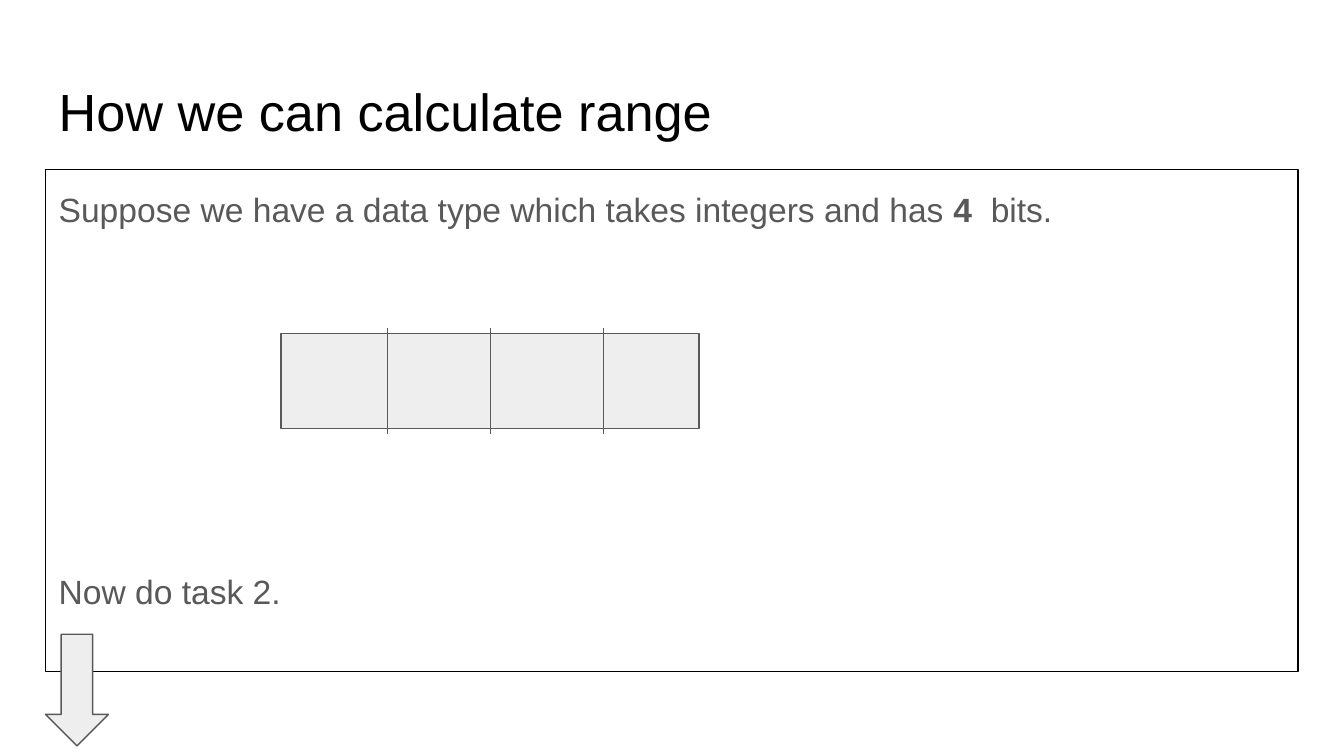
"""Build the slide on calculating the range of a four-bit integer type."""
from lxml.etree import SubElement
from pptx import Presentation
from pptx.dml.color import RGBColor
from pptx.enum.shapes import MSO_CONNECTOR, MSO_SHAPE
from pptx.enum.text import MSO_ANCHOR, MSO_AUTO_SIZE, PP_ALIGN
from pptx.oxml.ns import qn
from pptx.util import Cm, Pt

BLACK = RGBColor(0x00, 0x00, 0x00)
GREY = RGBColor(0x59, 0x59, 0x59)
LIGHT = RGBColor(0xEE, 0xEE, 0xEE)


def set_values(obj, values):
    for name, value in values.items():
        setattr(obj, name, value)


class SlideBuilder:
    font = "Arial"
    line_width = Pt(0.75)
    frame = {
        "word_wrap": True,
        "auto_size": MSO_AUTO_SIZE.NONE,
        "vertical_anchor": MSO_ANCHOR.TOP,
        "margin_left": Cm(0.25),
        "margin_right": Cm(0.25),
        "margin_top": Cm(0.25),
        "margin_bottom": Cm(0.25),
    }

    def __init__(self, prs):
        self.s = prs.slides.add_slide(prs.slide_layouts[5])

    def outline(self, sp, color):
        sp.line.color.rgb = color
        sp.line.width = self.line_width

    def paragraph(self, p, runs, size, color, **spacing):
        set_values(p, {"alignment": PP_ALIGN.LEFT, **spacing})
        for text, bold in runs:
            r = p.add_run()
            r.text = text
            set_values(r.font, {"name": self.font, "size": Pt(size), "bold": bold})
            r.font.color.rgb = color

    def title(self, text, left, top, width, height):
        sp = self.s.shapes.title
        set_values(sp, {"left": Cm(left), "top": Cm(top),
                        "width": Cm(width), "height": Cm(height)})
        set_values(sp.text_frame, self.frame)
        self.paragraph(sp.text_frame.paragraphs[0], [(text, False)], 28, BLACK,
                       line_spacing=1.0, space_before=Pt(0))

    def body(self, paragraphs, left, top, width, height):
        sp = self.s.shapes.add_textbox(Cm(left), Cm(top), Cm(width), Cm(height))
        self.outline(sp, BLACK)
        tf = sp.text_frame
        set_values(tf, self.frame)
        for i, (runs, before) in enumerate(paragraphs):
            p = tf.add_paragraph() if i else tf.paragraphs[0]
            self.paragraph(p, runs, 18, GREY, line_spacing=1.15,
                           space_before=Pt(before))

    def shape(self, kind, left, top, width, height):
        sp = self.s.shapes.add_shape(kind, Cm(left), Cm(top), Cm(width), Cm(height))
        sp.shadow.inherit = False
        sp.fill.solid()
        sp.fill.fore_color.rgb = LIGHT
        self.outline(sp, GREY)

    def divider(self, x, top, bottom):
        sp = self.s.shapes.add_connector(
            MSO_CONNECTOR.STRAIGHT, Cm(x), Cm(top), Cm(x), Cm(bottom))
        self.outline(sp, GREY)
        SubElement(sp._element.spPr, qn("a:effectLst"))


def main():
    prs = Presentation()
    set_values(prs, {"slide_width": Cm(25.4), "slide_height": Cm(14.29)})
    b = SlideBuilder(prs)
    b.title("How we can calculate range", 0.86, 1.24, 23.67, 1.6)
    b.body([
        ([("Suppose we have a data type which takes integers and has ", False),
          ("4  ", True), ("bits.", False)], 0),
        ([("Now do task 2.", False)], 180),
    ], 0.86, 3.2, 23.67, 9.5)
    b.shape(MSO_SHAPE.RECTANGLE, 5.31, 6.3, 7.9, 1.8)
    for x in (7.32, 9.27, 11.4):
        b.divider(x, 6.2, 8.2)
    b.shape(MSO_SHAPE.DOWN_ARROW, 0.86, 11.99, 1.19, 2.11)
    prs.save("out.pptx")


if __name__ == "__main__":
    main()
